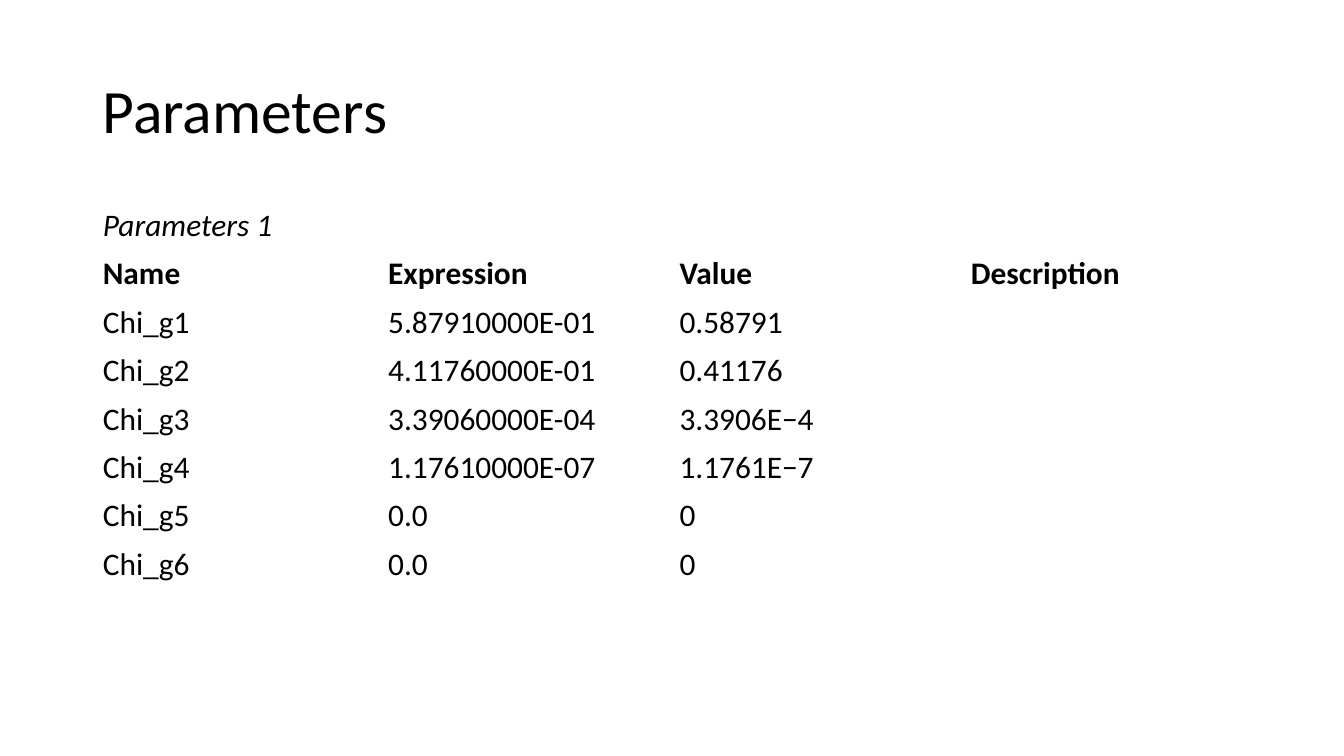
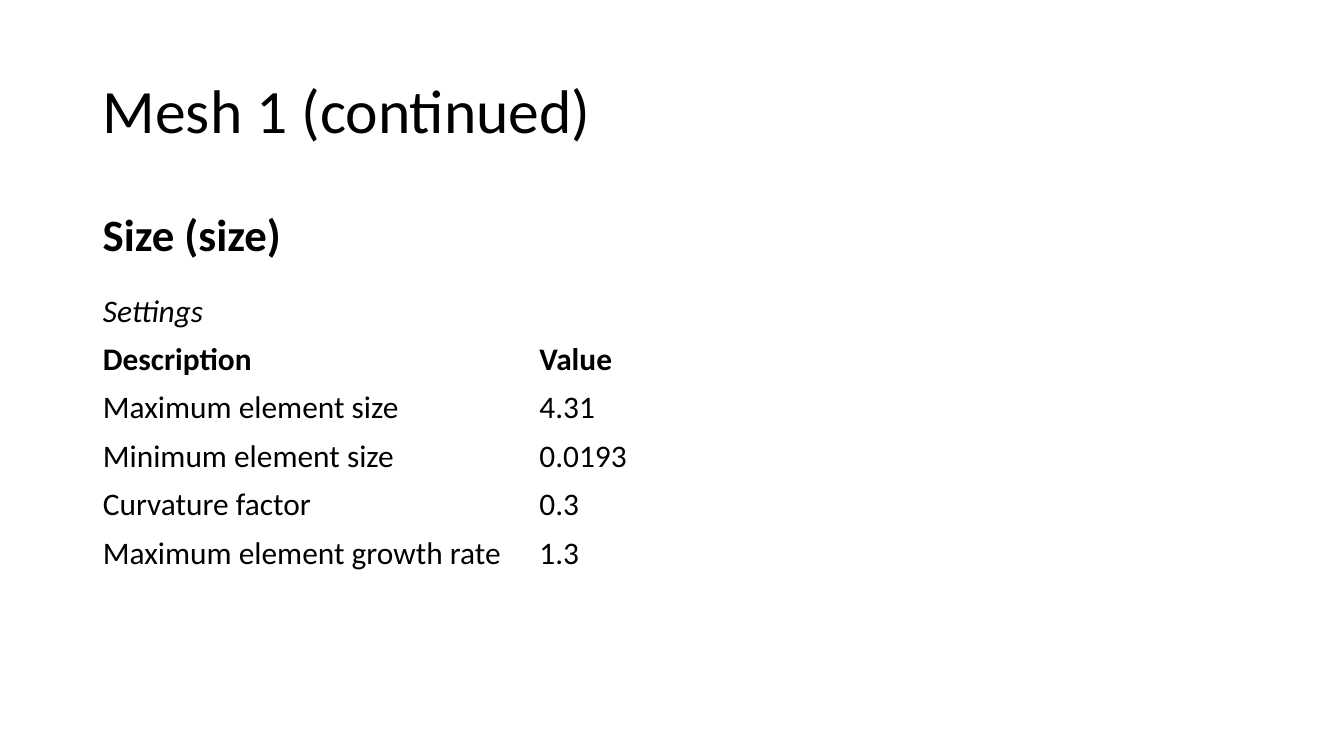
from pptx import Presentation
from pptx import util as u
from pptx.dml.color import RGBColor
from pptx.enum import text

FONT = "Calibri"
INK = "000000"
LEFT = 0.92
CONTENT_TOP = 2
CONTENT_WIDTH = 11.5
ROW_HEIGHT = 0.48
TABLE_SIZE = 22.4

PARAMETERS = [
    ("Name", "Expression", "Value", "Description"),
    ("Chi_g1", "5.87910000E-01", "0.58791", ""),
    ("Chi_g2", "4.11760000E-01", "0.41176", ""),
    ("Chi_g3", "3.39060000E-04", "3.3906E−4", ""),
    ("Chi_g4", "1.17610000E-07", "1.1761E−7", ""),
    ("Chi_g5", "0.0", "0", ""),
    ("Chi_g6", "0.0", "0", ""),
]
MESH_SETTINGS = [
    ("Description", "Value"),
    ("Maximum element size", "4.31"),
    ("Minimum element size", "0.0193"),
    ("Curvature factor", "0.3"),
    ("Maximum element growth rate", "1.3"),
]


def color(value):
    return RGBColor.from_string(value)


def write(paragraph, content, size, bold=False, italic=False):
    paragraph.text = content
    font = paragraph.font
    font.name, font.size = FONT, u.Pt(size)
    font.bold, font.italic = bold, italic
    font.color.rgb = color(INK)


def add_text(slide, content, top, height, size, bold=False,
             anchor=text.MSO_ANCHOR.TOP):
    box = slide.shapes.add_textbox(u.Inches(LEFT), u.Inches(top),
                                   u.Inches(CONTENT_WIDTH), u.Inches(height))
    frame = box.text_frame
    frame.word_wrap = True
    frame.vertical_anchor = anchor
    paragraph = frame.paragraphs[0]
    write(paragraph, content, size, bold)
    return paragraph


def add_titled_slide(presentation, title):
    slide = presentation.slides.add_slide(presentation.slide_layouts[6])
    paragraph = add_text(slide, title, 0.4, 1.45, 44,
                         anchor=text.MSO_ANCHOR.MIDDLE)
    paragraph.line_spacing = 0.9
    return slide


def add_captioned_table(slide, caption, rows, widths, top):
    """Plain table: an italic caption row, a bold header row, then the data."""
    count = len(rows) + 1
    table = slide.shapes.add_table(
        count, len(widths), u.Inches(LEFT), u.Inches(top),
        u.Inches(sum(widths)), u.Inches(ROW_HEIGHT * count)).table
    table.first_row = table.horz_banding = False
    for column, width in zip(table.columns, widths):
        column.width = u.Inches(width)
    for cell in table.iter_cells():
        cell.fill.background()

    # Caption across all columns
    table.cell(0, 0).merge(table.cell(0, len(widths) - 1))
    write(table.cell(0, 0).text_frame.paragraphs[0], caption, TABLE_SIZE,
          italic=True)

    # Header and data
    for row_index, row in enumerate(rows, start=1):
        for column_index, content in enumerate(row):
            cell = table.cell(row_index, column_index)
            write(cell.text_frame.paragraphs[0], content, TABLE_SIZE,
                  bold=row_index == 1)


def main():
    presentation = Presentation()
    presentation.slide_width = u.Inches(13.33)
    presentation.slide_height = u.Inches(7.5)

    # Parameters
    slide = add_titled_slide(presentation, "Parameters")
    add_captioned_table(slide, "Parameters 1", PARAMETERS,
                        [2.83, 2.89, 2.89, 2.89], CONTENT_TOP)

    # Mesh settings
    slide = add_titled_slide(presentation, "Mesh 1 (continued)")
    add_text(slide, "Size (size)", CONTENT_TOP, 0.71, 32, bold=True)
    add_captioned_table(slide, "Settings", MESH_SETTINGS, [4.33, 1.42], 2.85)

    presentation.save("out.pptx")


if __name__ == "__main__":
    main()
